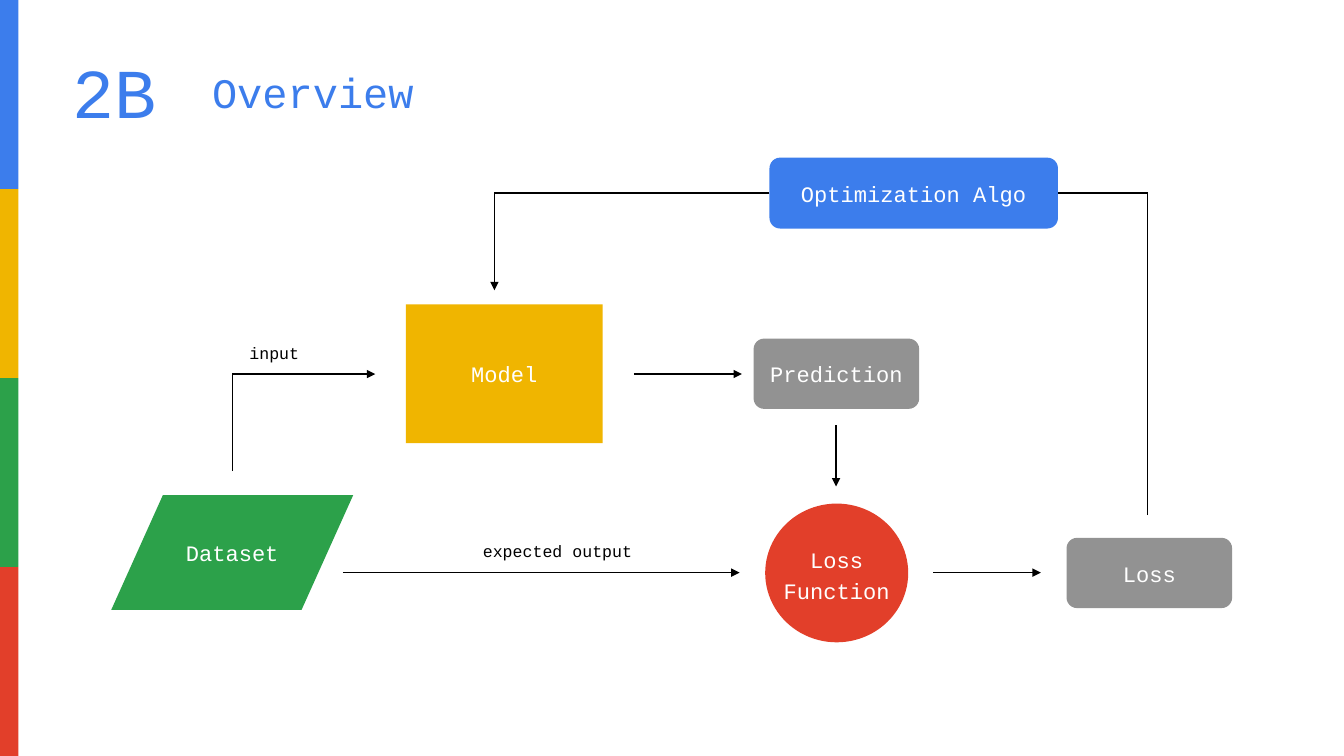
from dataclasses import dataclass

from lxml.etree import SubElement
from pptx import Presentation
from pptx.dml.color import RGBColor
from pptx.enum.shapes import MSO_CONNECTOR, MSO_SHAPE
from pptx.enum.text import MSO_ANCHOR, MSO_AUTO_SIZE, PP_ALIGN
from pptx.oxml.ns import qn
from pptx.util import Inches, Pt


@dataclass(frozen=True)
class Theme:
    font: str = "Courier New"
    blue: str = "3C7DEC"
    gold: str = "F0B500"
    green: str = "2CA14A"
    red: str = "E23F2A"
    gray: str = "929292"
    black: str = "000000"
    white: str = "FFFFFF"
    number: float = 82.5
    head: float = 49.5
    body: float = 26
    note: float = 19.5
    stroke: float = 1.65


def write(frame, text, *, font, size, color, align=PP_ALIGN.LEFT,
          anchor=MSO_ANCHOR.TOP, before=0, lead=1.0):
    frame.auto_size = MSO_AUTO_SIZE.NONE
    frame.word_wrap = False
    frame.vertical_anchor = anchor
    frame.margin_left = frame.margin_right = frame.margin_bottom = 0
    frame.margin_top = Inches(0.01)
    frame.text = text
    para = frame.paragraphs[0]
    para.alignment = align
    para.space_before = Pt(before)
    para.line_spacing = lead
    for run in para.runs:
        run.font.name = font
        run.font.size = Pt(size)
        run.font.color.rgb = RGBColor.from_string(color)


class Sketch:
    def __init__(self, slide, theme):
        self.slide = slide
        self.theme = theme

    def title(self, text, box):
        shape = self.slide.shapes.title
        shape.left, shape.top, shape.width, shape.height = map(Inches, box)
        write(shape.text_frame, text, font=self.theme.font,
              size=self.theme.number, color=self.theme.blue, before=0.9)

    def label(self, text, box, size, color):
        shape = self.slide.shapes.add_textbox(*map(Inches, box))
        write(shape.text_frame, text, font=self.theme.font,
              size=size, color=color, before=1)

    def block(self, kind, box, color, text="", bend=None, lead=1.0):
        shape = self.slide.shapes.add_shape(kind, *map(Inches, box))
        shape.shadow.inherit = False
        shape.fill.solid()
        shape.fill.fore_color.rgb = RGBColor.from_string(color)
        shape.line.fill.background()
        if bend is not None:
            shape.adjustments[0] = bend
        if text:
            write(shape.text_frame, text, font=self.theme.font,
                  size=self.theme.body, color=self.theme.white,
                  align=PP_ALIGN.CENTER, anchor=MSO_ANCHOR.MIDDLE, lead=lead)
        return shape

    def line(self, start, end, arrow=False):
        link = self.slide.shapes.add_connector(
            MSO_CONNECTOR.STRAIGHT, *map(Inches, start + end))
        link.line.color.rgb = RGBColor.from_string(self.theme.black)
        link.line.width = Pt(self.theme.stroke)
        if arrow:
            SubElement(link.get_or_add_ln(), qn("a:tailEnd"),
                       type="triangle", w="lg", len="lg")
        SubElement(link._element.spPr, qn("a:effectLst"))
        return link


def main():
    deck = Presentation()
    deck.slide_width, deck.slide_height = Inches(21.99), Inches(12.37)
    theme = Theme()
    art = Sketch(deck.slides.add_slide(deck.slide_layouts[5]), theme)

    # Side stripe
    bands = (theme.blue, theme.gold, theme.green, theme.red)
    step = 12.37 / len(bands)
    for row, color in enumerate(bands):
        art.block(MSO_SHAPE.RECTANGLE, (0, row * step, 0.3, step), color)

    # Headings
    art.title("2B", (1.18, 0.79, 1.4, 1.4))
    art.label("Overview", (3.47, 1.08, 3.33, 0.85), theme.head, theme.blue)

    # Blocks
    art.block(MSO_SHAPE.RECTANGLE, (6.64, 4.98, 3.22, 2.27),
              theme.gold, "Model")
    art.block(MSO_SHAPE.PARALLELOGRAM, (1.82, 8.1, 3.96, 1.88),
              theme.green, "Dataset", bend=0.45)
    art.block(MSO_SHAPE.OVAL, (12.52, 8.24, 2.34, 2.27),
              theme.red, "Loss\vFunction", lead=1.14)
    pills = (
        ("Prediction", (12.33, 5.54, 2.71, 1.15), theme.gray),
        ("Loss", (17.45, 8.8, 2.71, 1.15), theme.gray),
        ("Optimization Algo", (12.59, 2.58, 4.72, 1.16), theme.blue),
    )
    for text, box, color in pills:
        pill = art.block(MSO_SHAPE.ROUNDED_RECTANGLE, box, color, text,
                         bend=0.15)
    algo = pill

    # Arrows along the forward pass
    art.line((3.8, 7.71), (3.8, 6.12))
    arrows = (
        ((3.8, 6.12), (6.14, 6.12)),
        ((10.37, 6.12), (12.14, 6.12)),
        ((13.68, 6.96), (13.68, 7.96)),
        ((5.61, 9.37), (12.1, 9.37)),
        ((15.27, 9.37), (17.03, 9.37)),
    )
    for start, end in arrows:
        art.line(start, end, arrow=True)

    # Feedback from the loss to the model
    art.line((18.78, 8.43), (18.78, 3.16))
    art.line((18.78, 3.16), (17.31, 3.16)).end_connect(algo, 3)
    art.line((12.59, 3.16), (8.09, 3.16)).begin_connect(algo, 1)
    art.line((8.09, 3.16), (8.09, 4.75), arrow=True)

    # Arrow labels
    art.label("input", (4.08, 5.6, 0.85, 0.36), theme.note, theme.black)
    art.label("expected output", (7.9, 8.84, 2.5, 0.36),
              theme.note, theme.black)

    deck.save("out.pptx")


if __name__ == "__main__":
    main()
